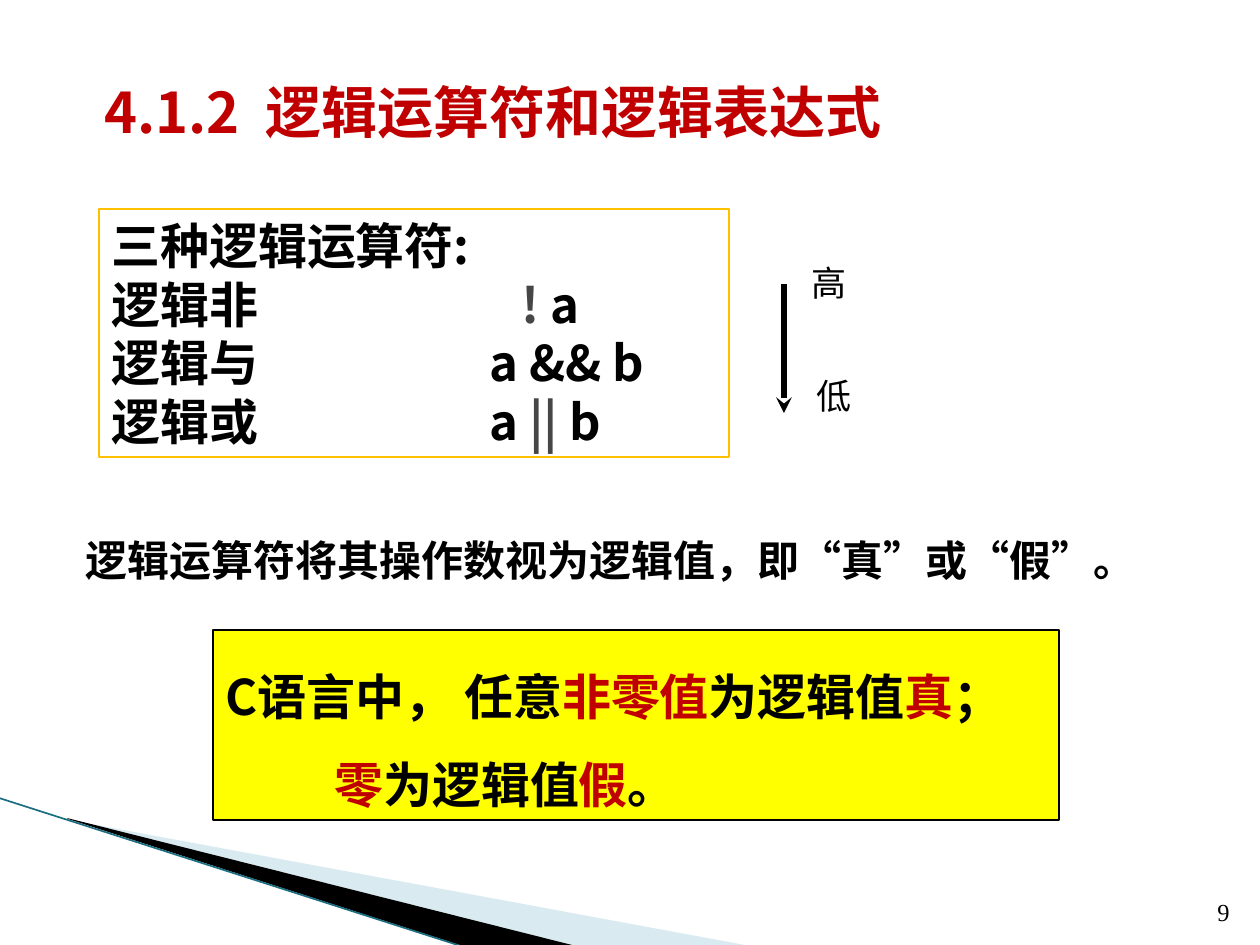
from dataclasses import dataclass

from lxml.etree import SubElement
from pptx import Presentation
from pptx.dml.color import RGBColor
from pptx.enum.shapes import MSO_CONNECTOR as Connector, MSO_SHAPE as Shape
from pptx.enum.text import MSO_ANCHOR as Anchor, PP_ALIGN as Align
from pptx.oxml.ns import qn
from pptx.util import Pt


@dataclass(frozen=True)
class Theme:
    sans: str = "Noto Sans CJK SC"
    serif: str = "Times New Roman"
    ink: str = "000000"
    red: str = "C00000"
    grey: str = "464646"
    gold: str = "FFC000"
    yellow: str = "FFFF00"
    pale: str = "A0CBDC"
    teal: str = "1B6E80"
    title: int = 32
    large: int = 28
    body: int = 24
    label: int = 20
    number: int = 14


THEME = Theme()
EMU_PER_PX = 914400 / 126

# Content: each paragraph is a list of (text, colour) runs
INK, RED, GREY = THEME.ink, THEME.red, THEME.grey
TITLE = [[("4.1.2  逻辑运算符和逻辑表达式", RED)]]
OPERATORS = [
    [("三种逻辑运算符:", INK)],
    [("逻辑非\t", INK), ("! ", GREY), ("a", INK)],
    [("逻辑与\ta && b", INK)],
    [("逻辑或\ta ", INK), ("||", GREY), (" b", INK)],
]
OPERATOR_TABS = [None, 410, 378, 378]
STATEMENT = [[("逻辑运算符将其操作数视为逻辑值，即“真”或“假”。", INK)]]
TRUTH_RULE = [
    [("C语言中， 任意", INK), ("非零值", RED), ("为逻辑值", INK),
     ("真", RED), ("；", INK)],
    [("零", RED), ("为逻辑值", INK), ("假", RED), ("。", INK)],
]
TRUTH_INDENTS = [0, 109]
PRECEDENCE = [("高", (799, 255, 74, 54)), ("低", (804, 368, 74, 54))]
SWOOSHES = [
    ([(69, 820), (750, 946), (575, 946), (69, 819)], THEME.pale, 40),
    ([(67, 818), (576, 946), (469, 948), (68, 819)], INK, 100),
]


def px(length):
    return round(length * EMU_PER_PX)


def rgb(code):
    return RGBColor.from_string(code)


def write(shape, paragraphs, size, bold=False, font=THEME.sans, spacing=None,
          align=Align.LEFT, anchor=Anchor.TOP, indents=None, tabs=None):
    frame = shape.text_frame
    frame.word_wrap = True
    frame.vertical_anchor = anchor
    for i, runs in enumerate(paragraphs):
        paragraph = frame.add_paragraph() if i else frame.paragraphs[0]
        paragraph.alignment = align
        if spacing:
            paragraph.line_spacing = spacing
        props = paragraph._p.get_or_add_pPr()
        if indents and indents[i]:
            props.set("marL", str(px(indents[i])))
        if tabs and tabs[i]:
            stops = SubElement(props, qn("a:tabLst"))
            SubElement(stops, qn("a:tab"), pos=str(px(tabs[i])), algn="l")
        for text, colour in runs:
            run = paragraph.add_run()
            run.text = text
            run.font.size = Pt(size)
            run.font.bold = bold
            run.font.name = font
            run.font.color.rgb = rgb(colour)
            SubElement(run._r.get_or_add_rPr(), qn("a:ea"), typeface=font)


def add_text(slide, box, paragraphs, size, **style):
    write(slide.shapes.add_textbox(*map(px, box)), paragraphs, size, **style)


def add_panel(slide, box, line, fill=None):
    panel = slide.shapes.add_shape(Shape.RECTANGLE, *map(px, box))
    panel.shadow.inherit = False
    if fill:
        panel.fill.solid()
        panel.fill.fore_color.rgb = rgb(fill)
    else:
        panel.fill.background()
    panel.line.color.rgb = rgb(line)
    panel.line.width = Pt(0.75)
    return panel


def add_line(slide, ends, colour, width, arrow=False):
    line = slide.shapes.add_connector(Connector.STRAIGHT, *map(px, ends))
    line.line.color.rgb = rgb(colour)
    line.line.width = Pt(width)
    if arrow:
        SubElement(line.line._get_or_add_ln(), qn("a:tailEnd"), type="stealth")
    SubElement(line._element.spPr, qn("a:effectLst"))


def add_swoosh(slide, points, colour, opacity):
    start, *rest = [(px(x), px(y)) for x, y in points]
    builder = slide.shapes.build_freeform(*start)
    builder.add_line_segments(rest, close=True)
    swoosh = builder.convert_to_shape()
    swoosh.shadow.inherit = False
    swoosh.fill.solid()
    swoosh.fill.fore_color.rgb = rgb(colour)
    swoosh.line.fill.background()
    if opacity < 100:
        tint = swoosh._element.spPr.find(qn("a:solidFill"))[0]
        SubElement(tint, qn("a:alpha"), val=str(opacity * 1000))


def main():
    deck = Presentation()
    deck.slide_width, deck.slide_height = px(1260), px(945)
    slide = deck.slides.add_slide(deck.slide_layouts[6])

    # Corner decoration
    for points, colour, opacity in SWOOSHES:
        add_swoosh(slide, points, colour, opacity)
    add_line(slide, (-1, 798, 467, 948), THEME.teal, 0.95)

    # Statement, page number and title
    add_text(slide, (58, 503, 1143, 89), STATEMENT, THEME.body, bold=True,
             spacing=1.5, indents=[15])
    add_text(slide, (1192, 883, 50, 50), [[("9", INK)]], THEME.number,
             font=THEME.serif, align=Align.RIGHT, anchor=Anchor.BOTTOM)
    add_text(slide, (92, 71, 1002, 79), TITLE, THEME.title, bold=True)

    # Operators and their precedence
    operators = add_panel(slide, (99, 209, 630, 248), THEME.gold)
    write(operators, OPERATORS, THEME.large, bold=True, tabs=OPERATOR_TABS)
    add_line(slide, (784, 284, 784, 413), INK, 3, arrow=True)
    for level, box in PRECEDENCE:
        add_text(slide, box, [[(level, INK)]], THEME.label)

    # Rule for true and false
    truth = add_panel(slide, (213, 630, 846, 190), INK, THEME.yellow)
    write(truth, TRUTH_RULE, THEME.large, bold=True, spacing=1.5,
          anchor=Anchor.MIDDLE, indents=TRUTH_INDENTS)

    deck.save("out.pptx")


if __name__ == "__main__":
    main()
